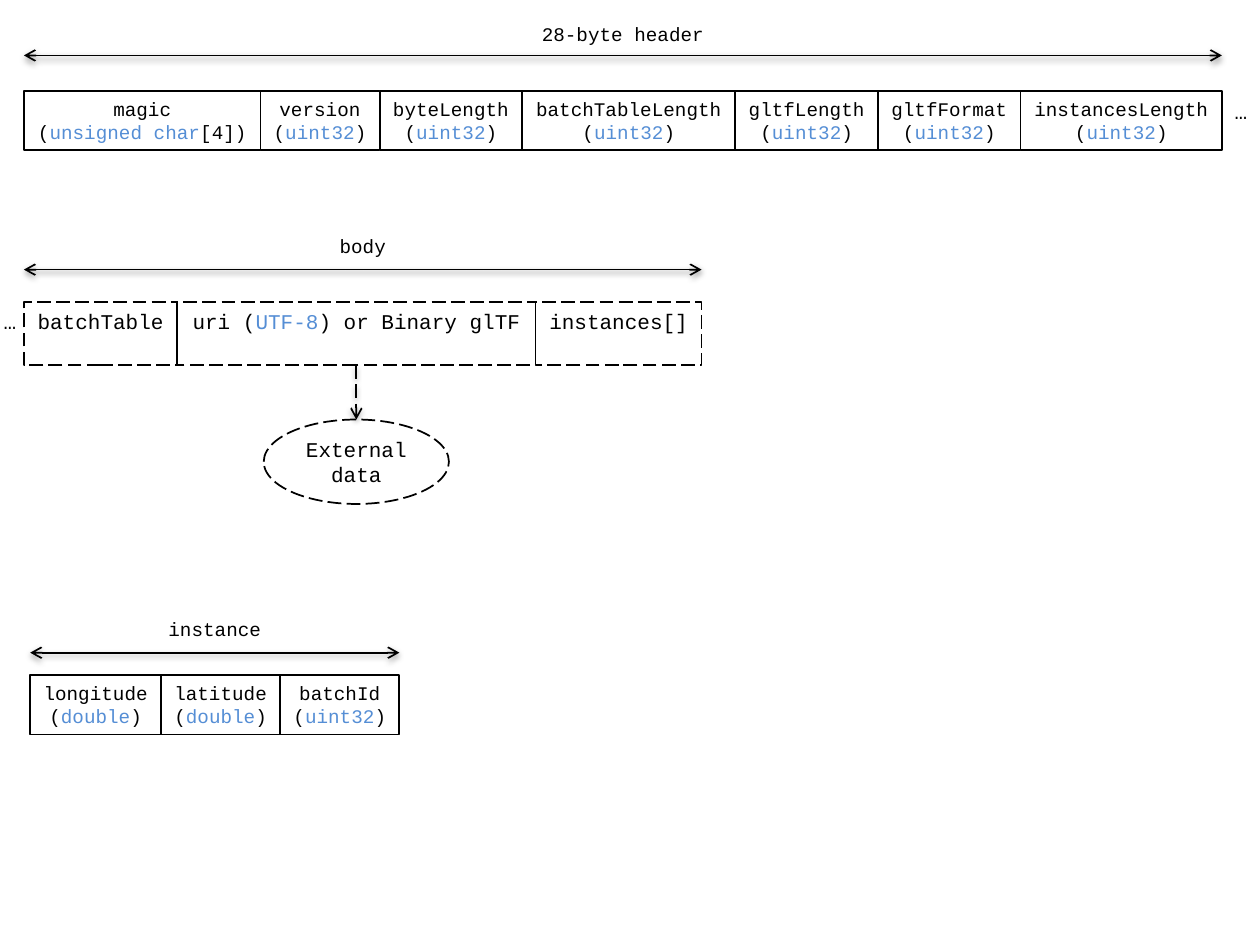
from dataclasses import dataclass

from lxml.etree import SubElement
from pptx import Presentation
from pptx.dml.color import RGBColor
from pptx.enum.dml import MSO_LINE
from pptx.enum.shapes import MSO_CONNECTOR, MSO_SHAPE
from pptx.enum.text import MSO_ANCHOR, PP_ALIGN
from pptx.oxml.ns import qn
from pptx.util import Inches, Pt


@dataclass(frozen=True)
class Theme:
    font: str = "Courier New"
    ink: RGBColor = RGBColor(0, 0, 0)
    kind: RGBColor = RGBColor(0x55, 0x8E, 0xD5)
    paper: RGBColor = RGBColor(255, 255, 255)
    small: int = 11
    large: int = 12
    line: float = 1
    glyph: float = 0.61
    pad: float = 2


@dataclass(frozen=True)
class Row:
    title: str
    left: float
    label: float
    arrow: float
    top: float
    high: float
    size: int
    dash: bool
    cells: tuple[str, ...]


THEME = Theme()
WIDE, HIGH = Inches(10), Inches(7.5)
COLS, ROWS = 100, 75

HEADER = Row("28-byte header", 1.9, 1.3, 4.4, 7.2, 4.7, THEME.small, False, (
    "magic\n(|unsigned char|[4])",
    "version\n(|uint32|)",
    "byteLength\n(|uint32|)",
    "batchTableLength\n(|uint32|)",
    "gltfLength\n(|uint32|)",
    "gltfFormat\n(|uint32|)",
    "instancesLength\n(|uint32|)",
))
BODY = Row("body", 1.9, 18.1, 21.4, 24, 5, THEME.large, True, (
    "batchTable",
    "uri (|UTF-8|) or Binary glTF",
    "instances[]",
))
INSTANCE = Row("instance", 2.4, 48.5, 51.8, 53.6, 4.7, THEME.small, False, (
    "longitude\n(|double|)",
    "latitude\n(|double|)",
    "batchId\n(|uint32|)",
))


def col(count: float) -> int:
    return round(WIDE * count / COLS)


def row(count: float) -> int:
    return round(HIGH * count / ROWS)


def width(text: str, size: int) -> float:
    longest = max(len(line) for line in text.replace("|", "").split("\n"))
    return THEME.pad + longest * size * THEME.glyph * Pt(1) / col(1)


def write(shape, text: str, *, size: int, wrap: bool = False,
          anchor=MSO_ANCHOR.TOP) -> None:
    frame = shape.text_frame
    frame.word_wrap = wrap
    frame.vertical_anchor = anchor
    for index, line in enumerate(text.split("\n")):
        para = frame.add_paragraph() if index else frame.paragraphs[0]
        para.alignment = PP_ALIGN.CENTER
        for turn, part in enumerate(line.split("|")):
            run = para.add_run()
            run.text = part
            run.font.name = THEME.font
            run.font.size = Pt(size)
            run.font.color.rgb = THEME.kind if turn % 2 else THEME.ink


def stroke(line, dash: bool) -> None:
    line.color.rgb = THEME.ink
    line.width = Pt(THEME.line)
    if dash:
        line.dash_style = MSO_LINE.LONG_DASH


def label(slide, text: str, mid: float, top: float, high: float, size: int) -> None:
    wide = width(text, size)
    box = slide.shapes.add_textbox(col(mid - wide / 2), row(top), col(wide), row(high))
    write(box, text, size=size)


def outline(slide, form, left: float, top: float, wide: float, high: float, dash: bool):
    shape = slide.shapes.add_shape(form, col(left), row(top), col(wide), row(high))
    shape.shadow.inherit = False
    shape.fill.background()
    stroke(shape.line, dash)
    return shape


def arrow(slide, start: tuple[float, float], end: tuple[float, float], *,
          both: bool = True, dash: bool = False):
    link = slide.shapes.add_connector(
        MSO_CONNECTOR.STRAIGHT, col(start[0]), row(start[1]), col(end[0]), row(end[1]))
    stroke(link.line, dash)
    edge = link.line._get_or_add_ln()
    for tag in ("a:headEnd", "a:tailEnd") if both else ("a:tailEnd",):
        SubElement(edge, qn(tag), type="arrow")
    effects = SubElement(link._element.spPr, qn("a:effectLst"))
    shade = SubElement(effects, qn("a:outerShdw"), blurRad="40000", dist="20000",
                       dir="5400000", rotWithShape="0")
    tint = SubElement(shade, qn("a:srgbClr"), val=str(THEME.ink))
    SubElement(tint, qn("a:alpha"), val="38000")
    return link


def draw(slide, part: Row) -> tuple[list, float]:
    left, boxes = part.left, []
    for text in part.cells:
        wide = width(text, part.size)
        box = outline(slide, MSO_SHAPE.RECTANGLE, left, part.top, wide, part.high, part.dash)
        write(box, text, size=part.size)
        boxes.append(box)
        left += wide
    arrow(slide, (part.left, part.arrow), (left, part.arrow))
    label(slide, part.title, (part.left + left) / 2, part.label, 2.9, THEME.small)
    return boxes, left


def main() -> None:
    deck = Presentation()
    deck.slide_width, deck.slide_height = WIDE, HIGH
    slide = deck.slides.add_slide(deck.slide_layouts[6])

    _, end = draw(slide, HEADER)
    boxes, _ = draw(slide, BODY)
    draw(slide, INSTANCE)
    for mid, top in ((end + 1.5, 7.3), (0.8, BODY.top)):
        label(slide, "…", mid, top, 5, THEME.large)

    source = boxes[1]
    mid = (source.left + source.width / 2) / col(1)
    wide, top = 14.7, 33.3
    data = outline(slide, MSO_SHAPE.OVAL, mid - wide / 2, top, wide, 6.7, True)
    data.fill.solid()
    data.fill.fore_color.rgb = THEME.paper
    write(data, "External data", size=THEME.large, wrap=True, anchor=MSO_ANCHOR.MIDDLE)
    link = arrow(slide, (mid, BODY.top + BODY.high), (mid, top), both=False, dash=True)
    link.begin_connect(source, 2)
    link.end_connect(data, 0)

    deck.save("out.pptx")


if __name__ == "__main__":
    main()
